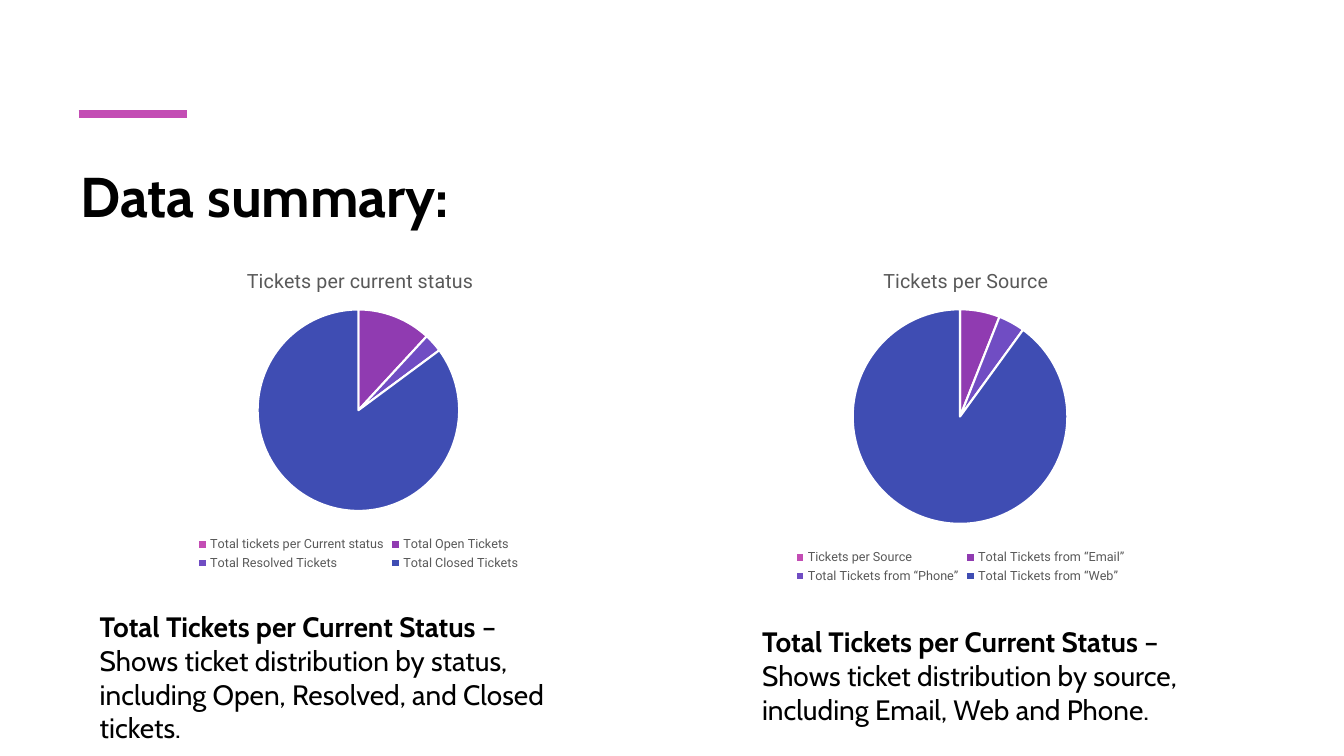
from lxml import etree
from pptx import Presentation
from pptx import util as u
from pptx.chart.data import CategoryChartData
from pptx.dml.color import RGBColor
from pptx.enum import chart as ch, shapes, text
from pptx.oxml import parse_xml
from pptx.oxml.ns import nsdecls, qn

PINK = RGBColor(0xC3, 0x4D, 0xB4)
PURPLE = RGBColor(0x90, 0x3B, 0xB1)
VIOLET = RGBColor(0x70, 0x4D, 0xC3)
BLUE = RGBColor(0x3F, 0x4D, 0xB3)
GREY = RGBColor(0x59, 0x59, 0x59)
BLACK = RGBColor(0, 0, 0)
WHITE = RGBColor(0xFF, 0xFF, 0xFF)
Inches = u.Inches


def add_text(s, box, runs, size, anchor):
    tf = s.shapes.add_textbox(*map(Inches, box)).text_frame
    tf.word_wrap = True
    tf.vertical_anchor = anchor
    p = tf.paragraphs[0]
    for words, bold in runs:
        r = p.add_run()
        r.text = words
        r.font.name = "Cabin"
        r.font.size = u.Pt(size)
        r.font.bold = bold
        r.font.color.rgb = BLACK


def set_layout(parent, target, **places):
    for old in parent.findall(qn("c:layout")):
        parent.remove(old)
    modes = '<c:xMode val="edge"/><c:yMode val="edge"/>'
    values = "".join(f'<c:{k} val="{v:.3f}"/>' for k, v in places.items())
    parent.insert(1 if target == "title" else 0, parse_xml(
        f'<c:layout {nsdecls("c")}><c:manualLayout>'
        + ('<c:layoutTarget val="inner"/>' if target == "plot" else "")
        + f"{modes}{values}</c:manualLayout></c:layout>"))


prs = Presentation()
prs.slide_width = Inches(13.33)
prs.slide_height = Inches(7.5)
s = prs.slides.add_slide(prs.slide_layouts[6])

accent = s.shapes.add_connector(shapes.MSO_CONNECTOR.STRAIGHT, Inches(0.78),
                                Inches(1.13), Inches(1.85), Inches(1.13))
accent.line.color.rgb = PINK
accent.line.width = u.Pt(6)
etree.SubElement(accent._element.spPr, qn("a:effectLst"))

add_text(s, (0.7, 1.5, 11.91, 0.88), [("Data summary:", True)], 40,
         text.MSO_ANCHOR.MIDDLE)

TOP, WIDTH, PIE_TOP = 2.45, 5.71, 3.07
pies = [
    (0.7, 3.25, 2.0, 0.3, "Tickets per current status",
     ["Total tickets per Current status", "Total Open Tickets",
      "Total Resolved Tickets", "Total Closed Tickets"], [None, 12, 3, 86]),
    (6.67, 3.38, 2.13, 0.36, "Tickets per Source",
     ["Tickets per Source", "Total Tickets from “Email”",
      "Total Tickets from “Phone”", "Total Tickets from “Web”"],
     [None, 6, 4, 90]),
]
for left, height, diameter, title_x, title, categories, values in pies:
    data = CategoryChartData()
    data.categories = categories
    data.add_series("Series 1", values)
    chart = s.shapes.add_chart(ch.XL_CHART_TYPE.PIE, Inches(left), Inches(TOP),
                               Inches(WIDTH), Inches(height), data).chart
    chart.font.name = "Roboto"
    chart.font.size = u.Pt(10)
    chart.font.color.rgb = BLACK

    r = chart.chart_title.text_frame.paragraphs[0].add_run()
    r.text = title
    r.font.name = "Roboto"
    r.font.size = u.Pt(14)
    r.font.bold = False
    r.font.color.rgb = GREY
    set_layout(chart.chart_title._element, "title", x=title_x, y=0.05)

    chart.has_legend = True
    legend = chart.legend
    legend.position = ch.XL_LEGEND_POSITION.BOTTOM
    legend.include_in_layout = False
    legend.font.name = "Roboto"
    legend.font.size = u.Pt(9)
    legend.font.color.rgb = GREY

    plot = chart.plots[0]
    plot.vary_by_categories = True
    for i, color in enumerate([PINK, PURPLE, VIOLET, BLUE]):
        fmt = plot.series[0].points[i].format
        fmt.fill.solid()
        fmt.fill.fore_color.rgb = color
        fmt.line.color.rgb = WHITE
        fmt.line.width = u.Pt(1.5)
    set_layout(chart._chartSpace.chart.plotArea, "plot",
               x=(WIDTH - diameter) / 2 / WIDTH, y=(PIE_TOP - TOP) / height,
               w=diameter / WIDTH, h=diameter / height)

captions = [
    ((0.89, 6, 4.72, 1.45), "status, including Open, Resolved, and Closed tickets."),
    ((7.46, 6.15, 4.92, 1.11), "source, including Email, Web and Phone."),
]
for box, ending in captions:
    add_text(s, box, [("Total Tickets per Current Status", True),
                      (" – Shows ticket distribution by " + ending, False)],
             20, text.MSO_ANCHOR.TOP)

prs.save("out.pptx")
